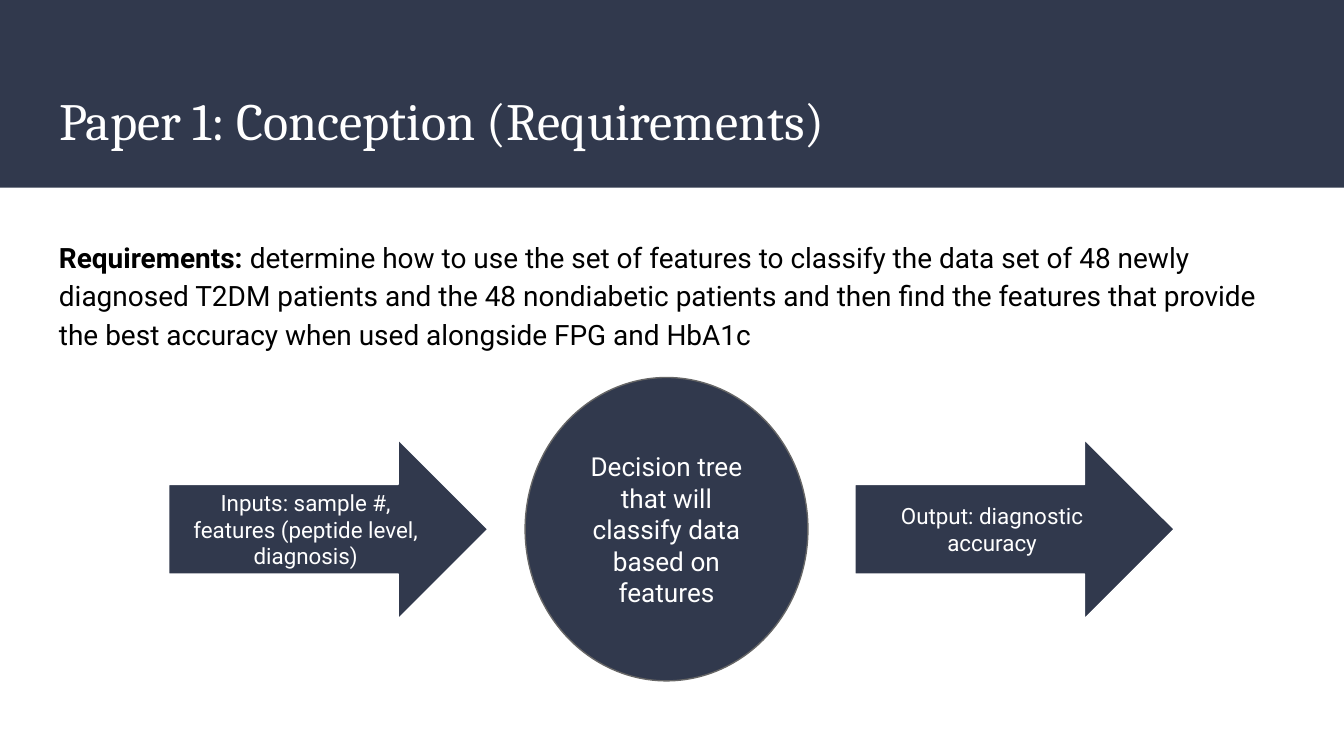
from pptx import Presentation
from pptx.dml.color import RGBColor
from pptx.enum import shapes, text
from pptx.util import Pt

COL = {"navy": "31394D", "white": "FFFFFF", "black": "000000", "gray": "666666"}
KIND = shapes.MSO_SHAPE


def rgb(name):
    return RGBColor.from_string(COL[name])


def write(shape, *runs, font="Roboto", size=12, color="white", align="CENTER",
          anchor="MIDDLE", space=1.0):
    """Fill a shape with one paragraph; each run is (words, bold)."""
    frame = shape.text_frame
    frame.word_wrap = True
    frame.auto_size = text.MSO_AUTO_SIZE.NONE
    frame.vertical_anchor = getattr(text.MSO_ANCHOR, anchor)
    frame.margin_left = frame.margin_right = Pt(7.2)
    frame.margin_top = frame.margin_bottom = Pt(7.2)
    para = frame.paragraphs[0]
    para.alignment = getattr(text.PP_ALIGN, align)
    para.line_spacing = space
    for words, bold in runs:
        run = para.add_run()
        run.text = words
        run.font.name = font
        run.font.size = Pt(size)
        run.font.bold = bold
        run.font.color.rgb = rgb(color)


deck = Presentation()
deck.slide_width, deck.slide_height = Pt(720), Pt(405)
slide = deck.slides.add_slide(deck.slide_layouts[5])

# Title on a dark band, with the band behind it
title = slide.shapes.title
title.left, title.top, title.width, title.height = Pt(24.5), Pt(39.6), Pt(671), Pt(49)
write(title, ("Paper 1: Conception (Requirements)", False),
      font="Cambria", size=28, align="LEFT")
band = slide.shapes.add_shape(KIND.RECTANGLE, 0, 0, deck.slide_width, Pt(100.6))
band.shadow.inherit = False
band.fill.solid()
band.fill.fore_color.rgb = rgb("navy")
band.line.fill.background()
title.element.addprevious(band.element)

# Requirements text
body = slide.shapes.add_textbox(Pt(24.5), Pt(118.8), Pt(671), Pt(84.2))
write(body, ("Requirements:", True),
      (" determine how to use the set of features to classify the data set of 48 "
       "newly diagnosed T2DM patients and the 48 nondiabetic patients and then find "
       "the features that provide the best accuracy when used alongside FPG and HbA1c",
       False),
      size=15, color="black", align="LEFT", anchor="TOP", space=1.15)

# Flow: input, model, output, all centred on one line
mid = 283.5
flow = [
    (KIND.RIGHT_ARROW, 90.3, 171, 96, "white", 12,
     "Inputs: sample #, features (peptide level, diagnosis)"),
    (KIND.OVAL, 281.3, 151.5, 162.5, "gray", 14,
     "Decision tree that will classify data based on features"),
    (KIND.RIGHT_ARROW, 458, 171, 96, "white", 12, "Output: diagnostic accuracy"),
]
for kind, left, wide, high, edge, size, words in flow:
    step = slide.shapes.add_shape(kind, Pt(left), Pt(mid - high / 2), Pt(wide), Pt(high))
    step.shadow.inherit = False
    step.fill.solid()
    step.fill.fore_color.rgb = rgb("navy")
    step.line.color.rgb = rgb(edge)
    step.line.width = Pt(0.75)
    write(step, (words, False), size=size)

deck.save("out.pptx")
